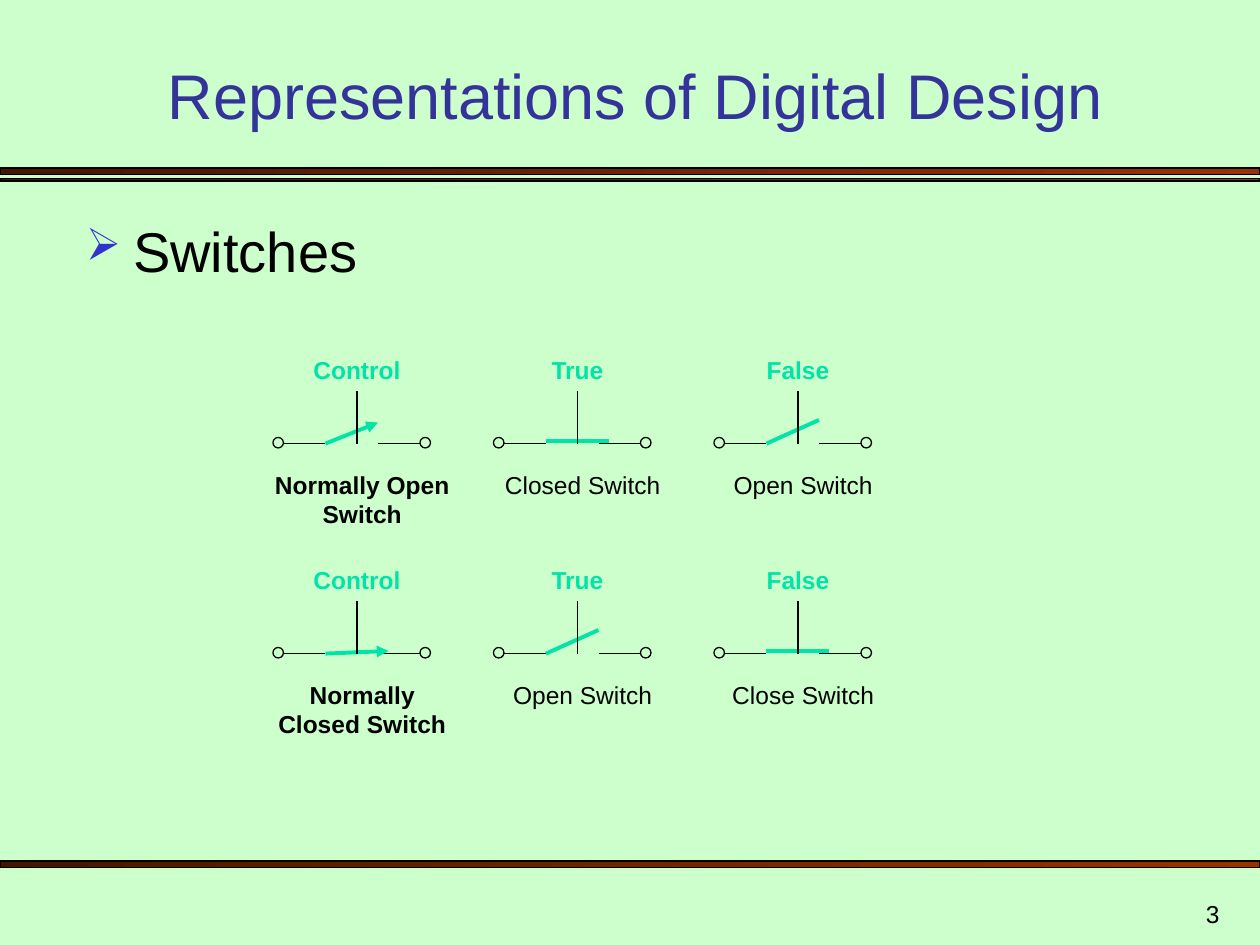
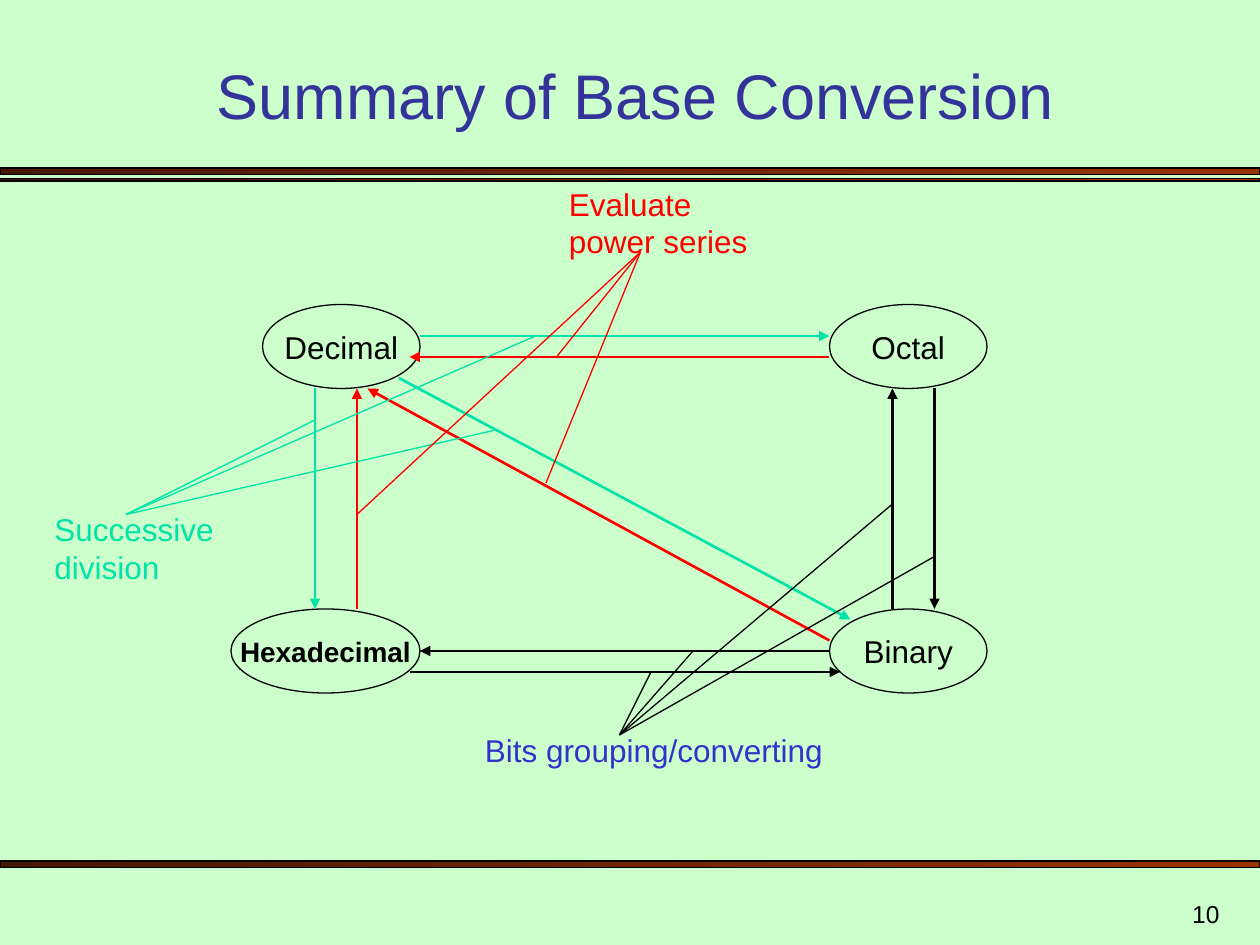
from lxml.etree import SubElement
from pptx import Presentation
from pptx.dml.color import RGBColor
from pptx.enum.shapes import MSO_CONNECTOR, MSO_SHAPE
from pptx.enum.text import MSO_ANCHOR, MSO_AUTO_SIZE, PP_ALIGN
from pptx.oxml.ns import qn
from pptx.util import Pt

COLORS = {
    "background": "CCFFCC",
    "title": "333399",
    "band_light": "993300",
    "band_dark": "461700",
    "black": "000000",
    "blue": "3333CC",
    "green": "00E4A8",
    "red": "FF0000",
}
FONT = "Arial"
BANDS = [(96, 3.75), (102, 1.5), (492, 3.75)]

OPEN, CLOSED = (60, -13.5), (66, -1.5)
SWITCH_ROWS = [
    [
        ("Control", "Normally Open Switch", (60, -12)),
        ("True", "Closed Switch", CLOSED),
        ("False", "Open Switch", OPEN),
    ],
    [
        ("Control", "Normally Closed Switch", CLOSED),
        ("True", "Open Switch", OPEN),
        ("False", "Close Switch", CLOSED),
    ],
]
SWITCH_LEFT, SWITCH_STEP = 156, 126
WIRE_TOP, ROW_STEP = 253.5, 120

BASES = [
    ("Decimal", (150, 174, 90, 48), {}),
    ("Octal", (474, 174, 90, 48), {}),
    ("Binary", (474, 348, 90, 48), {}),
    ("Hexadecimal", (132, 348, 108, 48), {"size": 16, "bold": True}),
]
CONVERSIONS = [
    ("green", (240, 192), (474, 192)),
    ("red", (474, 204), (234, 204)),
    ("green", (180, 222), (180, 348)),
    ("red", (204, 348), (204, 222)),
    ("green", (228, 216), (486, 354)),
    ("red", (474, 366), (210, 222)),
    ("black", (234, 384), (480, 384)),
    ("black", (474, 372), (240, 372)),
    ("black", (534, 222), (534, 348)),
    ("black", (510, 348), (510, 222)),
]
METHODS = [
    {"text": "Successive division", "box": (24, 288, 120, 50), "color": "green",
     "line": "green", "origin": (72, 294),
     "targets": [(180, 240), (306, 192), (282, 246)]},
    {"text": "Evaluate power series", "box": (318, 102, 120, 50), "color": "red",
     "line": "red", "origin": (366, 144),
     "targets": [(318, 204), (204, 294), (312, 276)]},
    {"text": "Bits grouping/converting", "box": (270, 414, 210, 29), "color": "blue",
     "line": "black", "origin": (354, 420),
     "targets": [(396, 372), (534, 318), (510, 288), (372, 384)]},
]


def rgb(name):
    return RGBColor.from_string(COLORS[name])


def points(values):
    return [Pt(value) for value in values]


def write(shape, text, size=18, color="black", bold=False, align=PP_ALIGN.LEFT,
          anchor=MSO_ANCHOR.TOP, wrap=True):
    frame = shape.text_frame
    frame.text = text
    frame.auto_size = MSO_AUTO_SIZE.NONE
    frame.word_wrap = wrap
    frame.vertical_anchor = anchor
    paragraph = frame.paragraphs[0]
    paragraph.alignment = align
    font = paragraph.runs[0].font
    font.name, font.size, font.bold = FONT, Pt(size), bold
    font.color.rgb = rgb(color)
    return paragraph


def add_text(shapes, text, box, **text_format):
    return write(shapes.add_textbox(*points(box)), text, **text_format)


def add_bullet(paragraph, character):
    properties = paragraph._p.get_or_add_pPr()
    properties.set("marL", str(Pt(27)))
    properties.set("indent", str(Pt(-27)))
    bullet_color = SubElement(properties, qn("a:buClr"))
    SubElement(bullet_color, qn("a:srgbClr"), val=COLORS["blue"])
    SubElement(properties, qn("a:buSzPct"), val="80000")
    SubElement(properties, qn("a:buChar"), char=character)


def add_line(shapes, start, end, color="black", width=0.75, arrow=False):
    connector = shapes.add_connector(MSO_CONNECTOR.STRAIGHT, *points(start + end))
    connector.line.color.rgb = rgb(color)
    connector.line.width = Pt(width)
    if arrow:
        SubElement(connector.line._get_or_add_ln(), qn("a:tailEnd"), type="triangle")
    SubElement(connector._element.spPr, qn("a:effectLst"))


def add_outline(shapes, kind, box):
    shape = shapes.add_shape(kind, *points(box))
    shape.shadow.inherit = False
    shape.fill.background()
    shape.line.color.rgb = rgb("black")
    shape.line.width = Pt(0.75)
    return shape


def add_slide(presentation, title, number):
    slide = presentation.slides.add_slide(presentation.slide_layouts[5])
    for top, height in BANDS:
        band = add_outline(slide.shapes, MSO_SHAPE.RECTANGLE, (0, top, 720, height))
        band.fill.gradient()
        band.fill.gradient_angle = 180
        for stop, color in zip(band.fill.gradient_stops, ("band_light", "band_dark")):
            stop.color.rgb = rgb(color)
    heading = slide.shapes.title
    heading.left, heading.top, heading.width, heading.height = points((42, 30, 642, 49))
    write(heading, title, size=36, color="title", align=PP_ALIGN.CENTER,
          anchor=MSO_ANCHOR.BOTTOM)
    add_text(slide.shapes, number, (554, 504, 150, 30), size=14,
             align=PP_ALIGN.RIGHT, anchor=MSO_ANCHOR.BOTTOM)
    return slide


def add_switch(slide, left, wire, control, name, lever):
    shapes = slide.shapes.add_group_shape().shapes
    is_main = control == "Control"
    for start in (6, 60):
        add_line(shapes, (left + start, wire), (left + start + 24, wire))
    lever_start = (left + 30, wire + (0 if is_main or lever == OPEN else lever[1]))
    add_line(shapes, lever_start, (left + lever[0], wire + lever[1]),
             color="green", width=2.25, arrow=is_main)
    add_line(shapes, (left + 48, wire - 30), (left + 48, wire))
    for offset in (0, 84):
        add_outline(shapes, MSO_SHAPE.OVAL, (left + offset, wire - 3.5, 6, 6))
    add_text(shapes, control, (left + 12, wire - 54, 72, 24), size=14,
             color="green", bold=True, align=PP_ALIGN.CENTER)
    add_text(shapes, name, (left - 6, wire + 11.5, 114, 41 if is_main else 24),
             size=14, bold=is_main, align=PP_ALIGN.CENTER)


def build_switches(presentation):
    slide = add_slide(presentation, "Representations of Digital Design", "3")
    paragraph = add_text(slide.shapes, "Switches", (42, 120, 288, 354), size=32)
    add_bullet(paragraph, "➢")
    for row, switches in enumerate(SWITCH_ROWS):
        for column, switch in enumerate(switches):
            add_switch(slide, SWITCH_LEFT + column * SWITCH_STEP,
                       WIRE_TOP + row * ROW_STEP, *switch)


def build_conversions(presentation):
    slide = add_slide(presentation, "Summary of Base Conversion", "10")
    for name, box, text_format in BASES:
        base = add_outline(slide.shapes, MSO_SHAPE.OVAL, box)
        write(base, name, align=PP_ALIGN.CENTER, anchor=MSO_ANCHOR.MIDDLE,
              wrap=False, **text_format)
    for color, start, end in CONVERSIONS:
        add_line(slide.shapes, start, end, color=color, width=1.5, arrow=True)
    for method in METHODS:
        for target in method["targets"]:
            add_line(slide.shapes, method["origin"], target, color=method["line"])
        add_text(slide.shapes, method["text"], method["box"], color=method["color"])


def main():
    presentation = Presentation()
    presentation.slide_width, presentation.slide_height = Pt(720), Pt(540)
    background = presentation.slide_master.background.fill
    background.solid()
    background.fore_color.rgb = rgb("background")
    build_switches(presentation)
    build_conversions(presentation)
    presentation.save("out.pptx")


if __name__ == "__main__":
    main()
